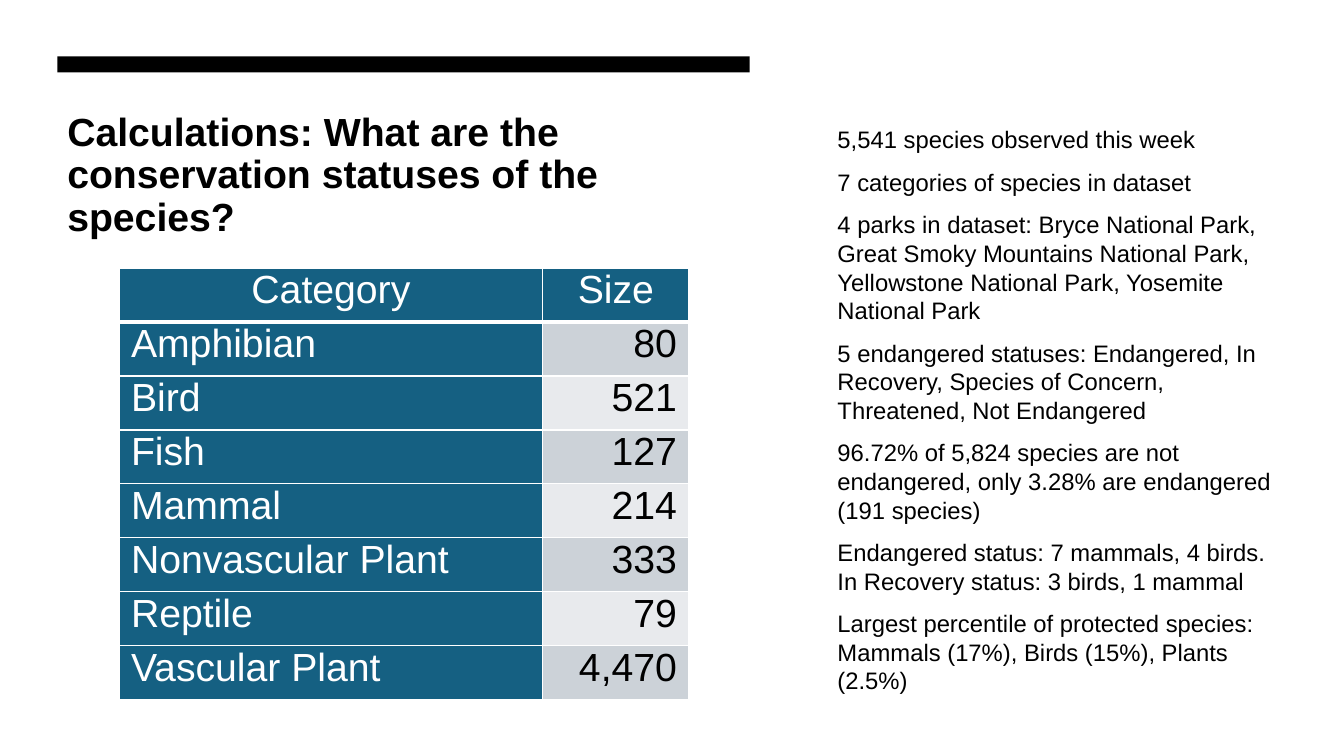
"""Build the slide on species conservation statuses."""
from dataclasses import dataclass

from lxml.etree import SubElement
from pptx import Presentation
from pptx.dml.color import RGBColor
from pptx.enum.shapes import MSO_SHAPE as SHAPE
from pptx.enum.text import MSO_ANCHOR as ANCHOR, PP_ALIGN as ALIGN
from pptx.oxml.ns import qn
from pptx.slide import Slide
from pptx.table import _Cell as Cell
from pptx.text.text import _Paragraph as Paragraph
from pptx.util import Pt

BLACK = RGBColor(0x00, 0x00, 0x00)
WHITE = RGBColor(0xFF, 0xFF, 0xFF)
TEAL = RGBColor(0x15, 0x60, 0x82)
BAND_DARK = RGBColor(0xCC, 0xD2, 0xD8)
BAND_LIGHT = RGBColor(0xE8, 0xEA, 0xED)


@dataclass(frozen=True)
class TextBlock:
    """A text box with its place in points and its paragraph format."""
    left: float
    top: float
    width: float
    height: float
    lines: tuple[str, ...]
    size: float
    bold: bool = False
    spacing: float = 1.0
    gap: float = 0


@dataclass(frozen=True)
class CellStyle:
    """The look of one kind of table cell."""
    fill: RGBColor
    color: RGBColor
    align: ALIGN
    bottom: float = 1


TEXT_BLOCKS = (
    TextBlock(41, 77, 496, 104.4,
              ("Calculations: What are the conservation statuses of the species?",),
              28, bold=True, spacing=0.9),
    TextBlock(591.1, 85.7, 327.6, 414, (
        "5,541 species observed this week",
        "7 categories of species in dataset",
        "4 parks in dataset: Bryce National Park, Great Smoky Mountains National Park, "
        "Yellowstone National Park, Yosemite National Park",
        "5 endangered statuses: Endangered, In Recovery, Species of Concern, "
        "Threatened, Not Endangered",
        "96.72% of 5,824 species are not endangered, only 3.28% are endangered (191 species)",
        "Endangered status: 7 mammals, 4 birds. In Recovery status: 3 birds, 1 mammal",
        "Largest percentile of protected species: Mammals (17%), Birds (15%), Plants (2.5%)",
    ), 17, gap=10),
)

CATEGORY_SIZES = (
    ("Category", "Size"),
    ("Amphibian", "80"),
    ("Bird", "521"),
    ("Fish", "127"),
    ("Mammal", "214"),
    ("Nonvascular Plant", "333"),
    ("Reptile", "79"),
    ("Vascular Plant", "4,470"),
)
COLUMN_WIDTHS = (302.7, 104.4)
ROW_HEIGHT = 38.55

HEADER = CellStyle(TEAL, WHITE, ALIGN.CENTER, bottom=3)
CATEGORY = CellStyle(TEAL, WHITE, ALIGN.LEFT)
SIZES = (CellStyle(BAND_LIGHT, BLACK, ALIGN.RIGHT),
         CellStyle(BAND_DARK, BLACK, ALIGN.RIGHT))


def write(p: Paragraph, text: str, size: float, color: RGBColor, bold: bool = False) -> None:
    """Put one formatted run into a paragraph."""
    r = p.add_run()
    r.text = text
    for name, value in {"name": "Arial", "size": Pt(size), "bold": bold}.items():
        setattr(r.font, name, value)
    r.font.color.rgb = color


def add_text(s: Slide, block: TextBlock) -> None:
    """Draw a text block."""
    box = (block.left, block.top, block.width, block.height)
    tf = s.shapes.add_textbox(*map(Pt, box)).text_frame
    tf.word_wrap = True
    for i, line in enumerate(block.lines):
        p = tf.add_paragraph() if i else tf.paragraphs[0]
        p.line_spacing = block.spacing
        p.space_before = Pt(block.gap if i else 0)
        write(p, line, block.size, BLACK, block.bold)


def add_bar(s: Slide) -> None:
    """Draw the black bar above the title."""
    sp = s.shapes.add_shape(SHAPE.RECTANGLE, Pt(41), Pt(40.3), Pt(494.6), Pt(11.5))
    sp.shadow.inherit = False
    sp.fill.solid()
    sp.fill.fore_color.rgb = BLACK
    sp.line.fill.background()


def add_borders(cell: Cell, bottom: float) -> None:
    """Give a cell white borders."""
    tcPr = cell._tc.get_or_add_tcPr()
    for side, width in {"L": 1, "R": 1, "T": 1, "B": bottom}.items():
        ln = SubElement(tcPr, qn(f"a:ln{side}"), w=str(Pt(width)))
        SubElement(SubElement(ln, qn("a:solidFill")), qn("a:srgbClr"), val=str(WHITE))


def fill_cell(cell: Cell, text: str, style: CellStyle) -> None:
    """Write and format one table cell."""
    layout = {"margin_left": Pt(8.6), "margin_right": Pt(8.6), "margin_top": 0,
              "margin_bottom": 0, "vertical_anchor": ANCHOR.TOP}
    for name, value in layout.items():
        setattr(cell, name, value)
    add_borders(cell, style.bottom)
    cell.fill.solid()
    cell.fill.fore_color.rgb = style.fill
    p = cell.text_frame.paragraphs[0]
    p.alignment = style.align
    write(p, text, 28, style.color)


def add_size_table(s: Slide) -> None:
    """Draw the table of category sizes."""
    rows = len(CATEGORY_SIZES)
    table = s.shapes.add_table(rows, len(COLUMN_WIDTHS), Pt(85), Pt(191.5),
                               Pt(sum(COLUMN_WIDTHS)), Pt(rows * ROW_HEIGHT)).table
    for column, width in zip(table.columns, COLUMN_WIDTHS):
        column.width = Pt(width)
    for i, record in enumerate(CATEGORY_SIZES):
        table.rows[i].height = Pt(ROW_HEIGHT)
        styles = (CATEGORY, SIZES[i % 2]) if i else (HEADER, HEADER)
        for cell, text, style in zip(table.rows[i].cells, record, styles):
            fill_cell(cell, text, style)


def main() -> None:
    """Build and save the presentation."""
    prs = Presentation()
    prs.slide_width, prs.slide_height = Pt(960), Pt(540)
    s = prs.slides.add_slide(prs.slide_layouts[6])
    for block in TEXT_BLOCKS:
        add_text(s, block)
    add_bar(s)
    add_size_table(s)
    prs.save("out.pptx")


if __name__ == "__main__":
    main()
